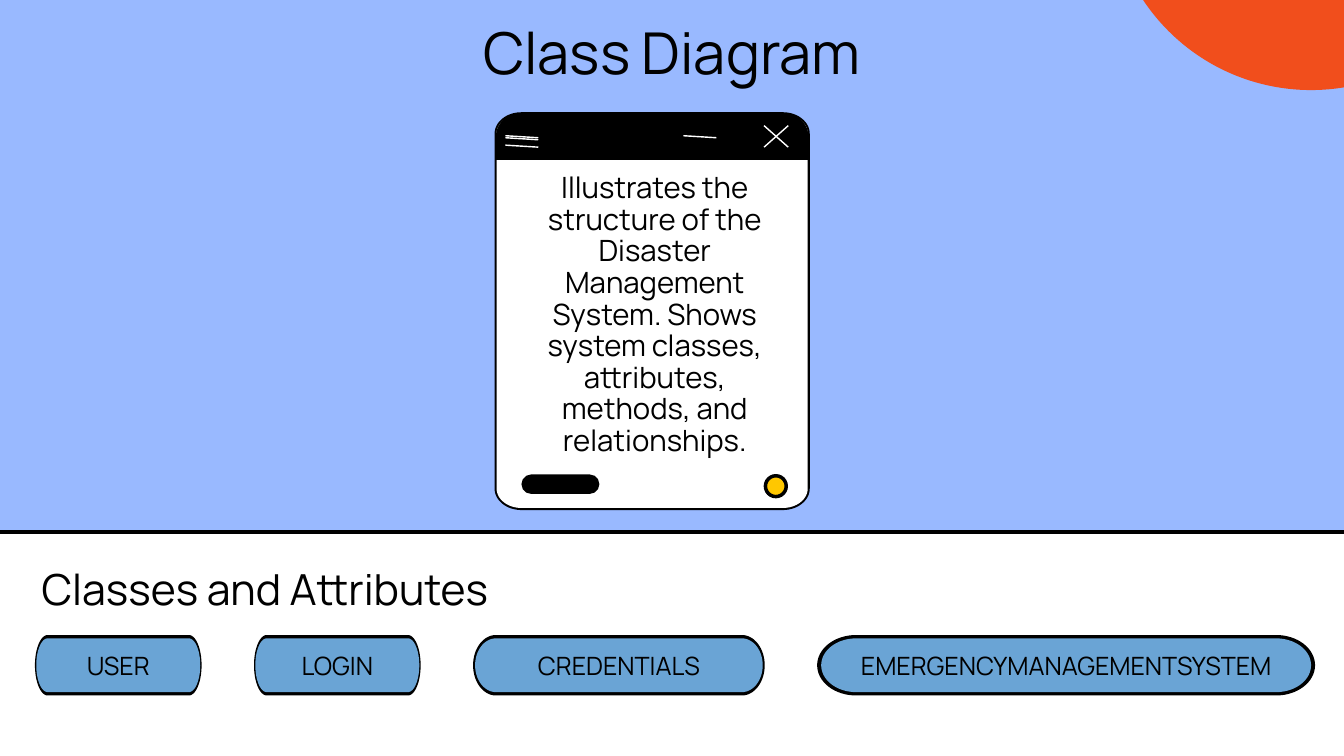
from dataclasses import dataclass
from math import cos, pi, sin

from lxml import etree
from pptx import Presentation
from pptx import util as u
from pptx.dml.color import RGBColor
from pptx.enum import shapes, text
from pptx.oxml.ns import qn


@dataclass(frozen=True)
class Theme:
    font: str = "Manrope"
    sky: str = "99B9FF"
    orange: str = "F14E1C"
    yellow: str = "FFC700"
    blue: str = "6AA4D5"
    black: str = "000000"
    white: str = "FFFFFF"
    title: float = 61.8
    heading: float = 45.8
    body: float = 31.4
    label: float = 27


THEME = Theme()


def rgb(value):
    return RGBColor.from_string(value)


def paint(shape, fill, line=None, width=0):
    shape.shadow.inherit = False
    shape.fill.solid()
    shape.fill.fore_color.rgb = rgb(fill)
    if line:
        shape.line.color.rgb = rgb(line)
        shape.line.width = u.Pt(width)
    else:
        shape.line.fill.background()
    return shape


def add_preset(slide, kind, box, fill, line=None, width=0):
    shape = slide.shapes.add_shape(kind, *map(u.Inches, box))
    return paint(shape, fill, line, width)


def add_rounded(slide, box, rx, ry, fill, steps=16):
    left, top, width, height = box
    right, bottom = left + width, top + height
    centres = [(right - rx, bottom - ry), (left + rx, bottom - ry),
               (left + rx, top + ry), (right - rx, top + ry)]
    points = []
    for quarter, (cx, cy) in enumerate(centres):
        for step in range(steps + 1):
            angle = (quarter + step / steps) * pi / 2
            points.append((u.Inches(cx + rx * cos(angle)),
                           u.Inches(cy + ry * sin(angle))))
    builder = slide.shapes.build_freeform(*points[0])
    builder.add_line_segments(points[1:], close=True)
    return paint(builder.convert_to_shape(), fill)


def add_framed(slide, box, rx, ry, edge_x, edge_y, fill):
    left, top, width, height = box
    add_rounded(slide, box, rx, ry, THEME.black)
    inner = (left + edge_x, top + edge_y, width - 2 * edge_x, height - 2 * edge_y)
    return add_rounded(slide, inner, rx - edge_x, ry - edge_y, fill)


def write(shape, words, size, spacing, align=text.PP_ALIGN.CENTER,
          anchor=text.MSO_ANCHOR.TOP, inset=0):
    frame = shape.text_frame
    frame.word_wrap = True
    frame.auto_size = text.MSO_AUTO_SIZE.NONE
    frame.vertical_anchor = anchor
    frame.margin_left = frame.margin_right = u.Inches(inset)
    frame.margin_top = frame.margin_bottom = u.Inches(inset)
    frame.text = words
    paragraph = frame.paragraphs[0]
    paragraph.alignment = align
    paragraph.line_spacing = u.Pt(spacing)
    paragraph.font.name = THEME.font
    paragraph.font.size = u.Pt(size)
    paragraph.font.color.rgb = rgb(THEME.black)


def add_title(slide, words):
    title = slide.shapes.title
    title.left, title.top = u.Inches(4.42), u.Inches(0.42)
    title.width, title.height = u.Inches(11.16), u.Inches(0.98)
    write(title, words, THEME.title, 62.4)


def add_text(slide, box, words, size, spacing, align):
    write(slide.shapes.add_textbox(*map(u.Inches, box)), words, size, spacing, align)


def add_stroke(slide, x1, y1, x2, y2):
    stroke = slide.shapes.add_connector(
        shapes.MSO_CONNECTOR.STRAIGHT, *map(u.Inches, (x1, y1, x2, y2)))
    stroke.line.color.rgb = rgb(THEME.white)
    stroke.line.width = u.Pt(1.5)
    etree.SubElement(stroke._element.spPr, qn("a:effectLst"))


def add_window(slide, words):
    kinds = shapes.MSO_SHAPE
    add_framed(slide, (7.36, 1.67, 4.69, 5.92), 0.4, 0.32, 0.03, 0.03, THEME.white)
    add_text(slide, (7.76, 2.57, 3.97, 4.27), words, THEME.body, 33.9,
             text.PP_ALIGN.CENTER)
    header = add_preset(slide, kinds.ROUND_2_SAME_RECTANGLE,
                        (7.38, 1.69, 4.65, 0.69), THEME.black)
    header.adjustments[0] = 0.5
    for x, y in ((7.52, 2.02), (7.52, 2.05), (7.52, 2.16), (10.17, 2.02)):
        add_stroke(slide, x, y, x + 0.49, y + 0.03)
    add_stroke(slide, 11.37, 1.87, 11.73, 2.19)
    add_stroke(slide, 11.73, 1.87, 11.37, 2.19)
    button = add_preset(slide, kinds.ROUNDED_RECTANGLE,
                        (7.76, 7.06, 1.16, 0.29), THEME.black)
    button.adjustments[0] = 0.5
    add_preset(slide, kinds.OVAL, (11.39, 7.08, 0.31, 0.31),
               THEME.yellow, THEME.black, 3.75)


def add_class(slide, name, left, width, rx, edge):
    pill = add_framed(slide, (left, 9.45, width, 0.9), rx, 0.45, edge, 0.05, THEME.blue)
    write(pill, name, THEME.label, 32.4, anchor=text.MSO_ANCHOR.MIDDLE, inset=0.06)


def main():
    deck = Presentation()
    deck.slide_width, deck.slide_height = u.Inches(20), u.Inches(11.25)
    slide = deck.slides.add_slide(deck.slide_layouts[5])
    slide.background.fill.solid()
    slide.background.fill.fore_color.rgb = rgb(THEME.sky)

    add_preset(slide, shapes.MSO_SHAPE.OVAL, (16.51, -4.66, 6, 6), THEME.orange)
    add_title(slide, "Class Diagram")
    add_window(slide, "Illustrates the structure of the Disaster Management System. "
                      "Shows system classes, attributes, methods, and relationships.")
    add_preset(slide, shapes.MSO_SHAPE.RECTANGLE, (-0.52, 7.92, 21.12, 3.51),
               THEME.white, THEME.black, 4.5)
    add_text(slide, (0.62, 8.49, 7.63, 0.7), "Classes and Attributes",
             THEME.heading, 46.2, text.PP_ALIGN.LEFT)

    left, gap = 0.52, 0.78
    for name, width, rx, edge in (("USER", 2.48, 0.19, 0.02),
                                  ("LOGIN", 2.48, 0.19, 0.02),
                                  ("CREDENTIALS", 4.34, 0.34, 0.03),
                                  ("EMERGENCYMANAGEMENTSYSTEM", 7.41, 0.58, 0.06)):
        add_class(slide, name, left, width, rx, edge)
        left += width + gap

    deck.save("out.pptx")


if __name__ == "__main__":
    main()
